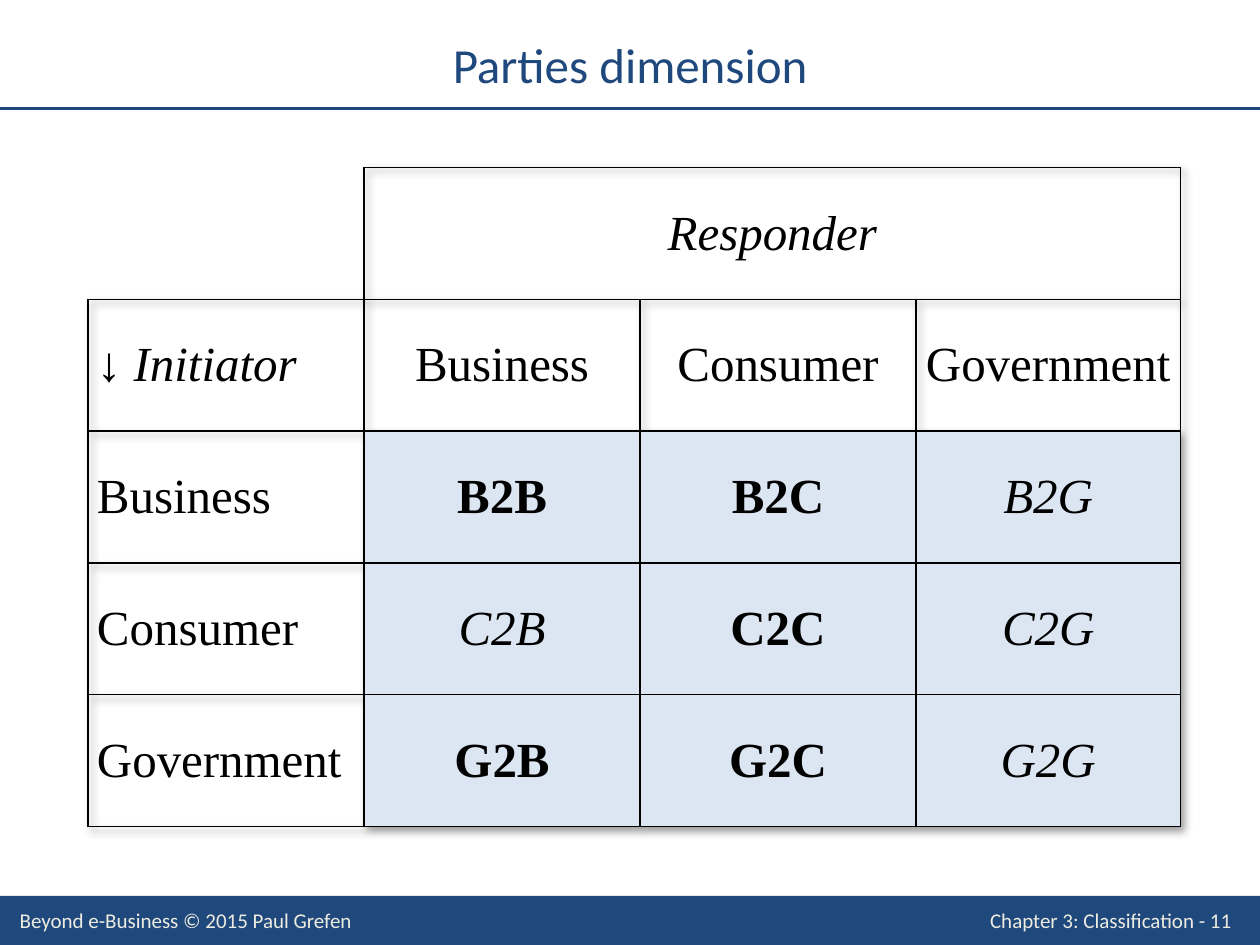
from dataclasses import dataclass

from lxml.etree import SubElement
from pptx import Presentation
from pptx.dml.color import RGBColor
from pptx.enum.shapes import MSO_CONNECTOR, MSO_SHAPE
from pptx.enum.text import MSO_ANCHOR, PP_ALIGN
from pptx.oxml import parse_xml
from pptx.oxml.ns import nsdecls, qn
from pptx.util import Inches, Pt


@dataclass(frozen=True)
class Theme:
    navy: RGBColor = RGBColor(0x1F, 0x49, 0x7D)
    black: RGBColor = RGBColor(0, 0, 0)
    pale_blue: RGBColor = RGBColor(0xDC, 0xE6, 0xF2)
    cream: RGBColor = RGBColor(0xEE, 0xEC, 0xE1)
    heading_font: str = "Calibri"
    table_font: str = "Times New Roman"
    large: Pt = Pt(28)
    small: Pt = Pt(12)
    rule: Pt = Pt(1.5)
    border: Pt = Pt(1)


THEME = Theme()
NO_STYLE = "{2D5ABB26-0587-4C30-8999-92F81FD0307C}"
PARTIES = ["Business", "Consumer", "Government"]
COMMON = {"B2B", "B2C", "C2C", "G2B", "G2C"}


def format_span(span, name, size, color, bold=False, italic=False):
    font = span.font
    font.name, font.size, font.bold, font.italic = name, size, bold, italic
    font.color.rgb = color


def add_title(page, text, left, top, width, height):
    title = page.shapes.title
    title.left, title.top, title.width, title.height = left, top, width, height
    title.text_frame.text = text
    title.text_frame.vertical_anchor = MSO_ANCHOR.MIDDLE
    para = title.text_frame.paragraphs[0]
    para.alignment = PP_ALIGN.CENTER
    format_span(para.runs[0], THEME.heading_font, THEME.large, THEME.navy)


def add_rule(page, left, top, width):
    rule = page.shapes.add_connector(MSO_CONNECTOR.STRAIGHT, left, top, left + width, top)
    rule.line.color.rgb = THEME.navy
    rule.line.width = THEME.rule
    SubElement(rule._element.spPr, qn("a:effectLst"))


def add_footer(page, left, top, width, height):
    band = page.shapes.add_shape(MSO_SHAPE.RECTANGLE, left, top, width, height)
    band.shadow.inherit = False
    band.fill.solid()
    band.fill.fore_color.rgb = THEME.navy
    band.line.fill.background()
    labels = [
        ("Beyond e-Business © 2015 Paul Grefen", left, Inches(2.95), PP_ALIGN.CENTER),
        ("Chapter 3: Classification - 11", left + width - Inches(2.24), Inches(2.24), PP_ALIGN.LEFT),
    ]
    for text, label_left, label_width, alignment in labels:
        box = page.shapes.add_textbox(label_left, top, label_width, height)
        box.text_frame.text = text
        box.text_frame.vertical_anchor = MSO_ANCHOR.MIDDLE
        para = box.text_frame.paragraphs[0]
        para.alignment = alignment
        format_span(para.runs[0], THEME.heading_font, THEME.small, THEME.cream)


def set_borders(cell, sides):
    properties = cell._tc.get_or_add_tcPr()
    for side in sides:
        line = SubElement(properties, qn(f"a:ln{side}"), w=str(THEME.border))
        fill = SubElement(line, qn("a:solidFill"))
        SubElement(fill, qn("a:srgbClr"), val=str(THEME.black))


def fill_cell(cell, spans, alignment, shaded=False):
    cell.margin_left = cell.margin_right = Inches(0.07)
    cell.margin_top = cell.margin_bottom = 0
    cell.vertical_anchor = MSO_ANCHOR.MIDDLE
    if shaded:
        cell.fill.solid()
        cell.fill.fore_color.rgb = THEME.pale_blue
    para = cell.text_frame.paragraphs[0]
    para.alignment = alignment
    for text, bold, italic in spans:
        span = para.add_run()
        span.text = text
        format_span(span, THEME.table_font, THEME.large, THEME.black, bold, italic)


def add_table_shadow(table):
    table._tbl.tblPr.insert(0, parse_xml(
        f'<a:effectLst {nsdecls("a")}>'
        '<a:outerShdw blurRad="50800" dist="38100" dir="2700000" algn="tl" rotWithShape="0">'
        '<a:prstClr val="black"><a:alpha val="40000"/></a:prstClr>'
        '</a:outerShdw></a:effectLst>'))


def add_parties_table(page, left, top, width, height):
    size = len(PARTIES)
    table = page.shapes.add_table(size + 2, size + 1, left, top, width, height).table
    table.first_row = table.horz_banding = False
    table._tbl.tblPr.find(qn("a:tableStyleId")).text = NO_STYLE
    add_table_shadow(table)

    for column in table.columns:
        column.width = Inches(2.19)
    table.columns[size].width = width - size * Inches(2.19)
    for row in table.rows:
        row.height = height // len(table.rows)
    for cell in table.iter_cells():
        set_borders(cell, "RB" if cell is table.cell(0, 0) or cell._tc is table.cell(0, 0)._tc else "LRTB")
        cell.fill.background()

    table.cell(0, 1).merge(table.cell(0, size))
    fill_cell(table.cell(0, 1), [("Responder", False, True)], PP_ALIGN.CENTER)
    fill_cell(table.cell(1, 0), [("↓ ", False, False), ("Initiator", False, True)], PP_ALIGN.JUSTIFY)
    for index, party in enumerate(PARTIES):
        heading = [(party, False, False)]
        fill_cell(table.cell(1, index + 1), heading, PP_ALIGN.CENTER)
        fill_cell(table.cell(index + 2, 0), heading, PP_ALIGN.JUSTIFY)
        for column, responder in enumerate(PARTIES, start=1):
            code = f"{party[0]}2{responder[0]}"
            common = code in COMMON
            fill_cell(table.cell(index + 2, column), [(code, common, not common)],
                      PP_ALIGN.CENTER, shaded=True)


def main():
    deck = Presentation()
    deck.slide_width, deck.slide_height = Inches(10), Inches(7.5)
    page = deck.slides.add_slide(deck.slide_layouts[5])
    add_footer(page, 0, Inches(7.11), deck.slide_width, Inches(0.39))
    add_rule(page, 0, Inches(0.86), deck.slide_width)
    add_title(page, "Parties dimension", Inches(0.5), Inches(0.23), Inches(9), Inches(0.55))
    add_parties_table(page, Inches(0.7), Inches(1.33), Inches(8.67), Inches(5.23))
    deck.save("out.pptx")


if __name__ == "__main__":
    main()
